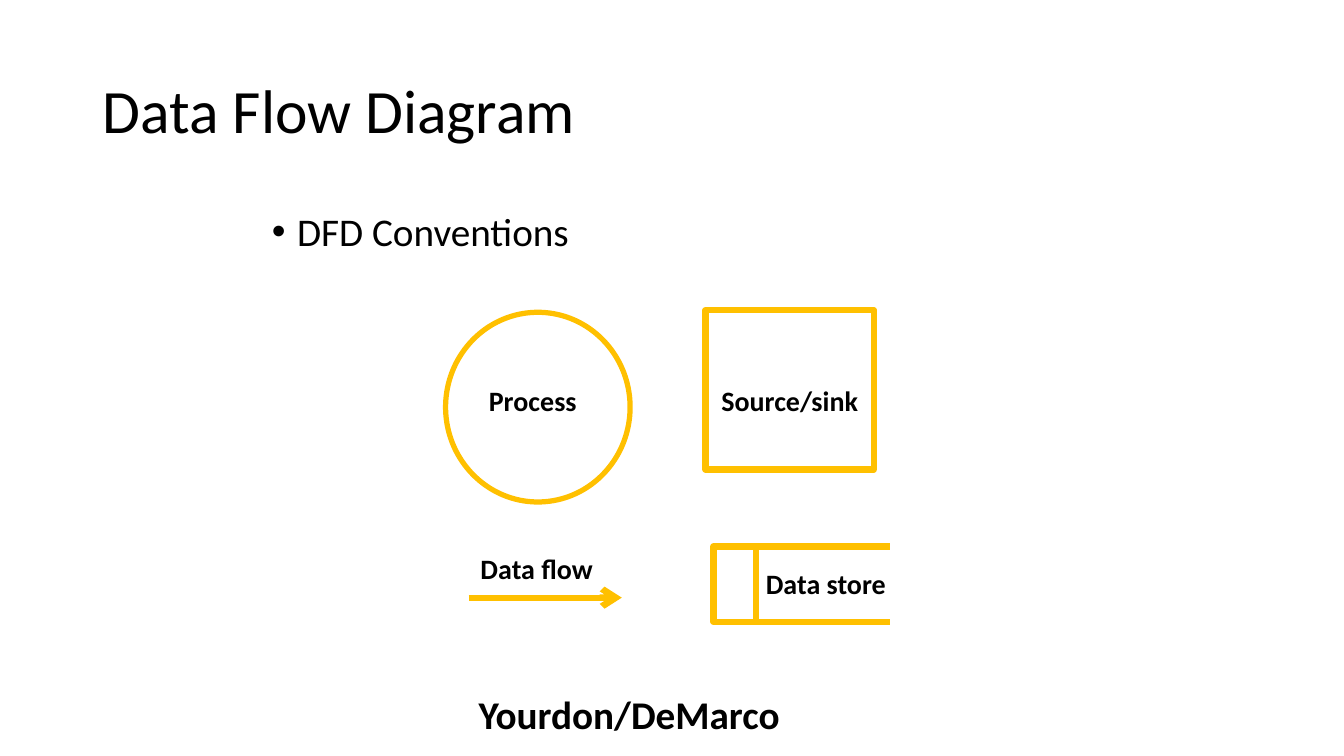
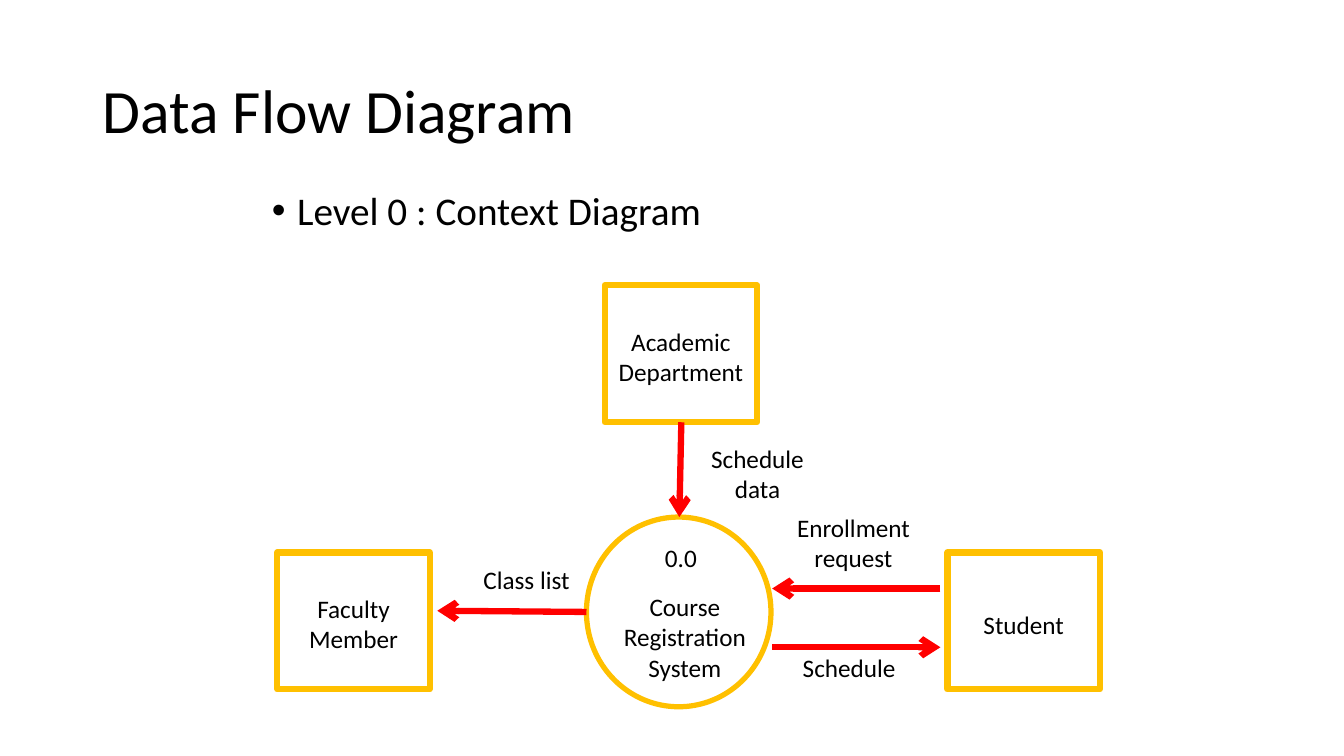
from lxml.etree import SubElement
from pptx import Presentation
from pptx.dml.color import RGBColor
from pptx.enum.shapes import MSO_CONNECTOR, MSO_SHAPE
from pptx.enum.text import MSO_ANCHOR, PP_ALIGN
from pptx.oxml.ns import qn
from pptx.util import Cm, Pt

BLACK = RGBColor(0x00, 0x00, 0x00)
AMBER = RGBColor(0xFF, 0xC0, 0x00)
RED = RGBColor(0xFF, 0x00, 0x00)
FONT = "Calibri"
TITLE = "Data Flow Diagram"
LEFT = PP_ALIGN.LEFT
CENTER = PP_ALIGN.CENTER
CIRCLE_SIZE = (4.65, 4.78)
ENTITY_SIZE = (3.84, 3.45)


def add_text(slide, box, lines, size, bold=False, align=LEFT, spacing=1.0, bullet=False):
    shape = slide.shapes.add_textbox(*map(Cm, box))
    frame = shape.text_frame
    frame.word_wrap = True
    for index, line in enumerate(lines):
        paragraph = frame.paragraphs[0] if index == 0 else frame.add_paragraph()
        paragraph.alignment = align
        paragraph.line_spacing = spacing
        if bullet:
            properties = paragraph._p.get_or_add_pPr()
            properties.set("marL", str(Cm(0.64)))
            properties.set("indent", str(-Cm(0.64)))
            SubElement(properties, qn("a:buFont"), typeface="Arial")
            SubElement(properties, qn("a:buChar"), char="•")
        run = paragraph.add_run()
        run.text = line
        run.font.name = FONT
        run.font.size = Pt(size)
        run.font.bold = bold
        run.font.color.rgb = BLACK
    return shape


def add_line(slide, start, end, color, arrow=True):
    connector = slide.shapes.add_connector(
        MSO_CONNECTOR.STRAIGHT, *map(Cm, start), *map(Cm, end)
    )
    connector.line.color.rgb = color
    connector.line.width = Pt(4.5)
    if arrow:
        SubElement(connector.line._get_or_add_ln(), qn("a:tailEnd"), type="arrow")
    SubElement(connector._element.spPr, qn("a:effectLst"))


presentation = Presentation()
presentation.slide_width = Cm(33.87)
presentation.slide_height = Cm(19.05)

store_left, store_right, store_top, store_bottom = 17.98, 22.43, 13.77, 15.67
entities = [
    (15.24, 7.19, 0.91, ["Academic Department"]),
    (6.99, 13.92, 0.91, ["Faculty", "Member"]),
    (23.88, 13.92, 1.32, ["Student"]),
]
convention_shapes = [
    (MSO_SHAPE.OVAL, (11.23, 7.87, *CIRCLE_SIZE), 3.75),
    (MSO_SHAPE.RECTANGLE, (17.78, 7.82, 4.24, 4.01), 4.5),
    (MSO_SHAPE.RECTANGLE, (store_left, store_top, 1.07, store_bottom - store_top), 4.5),
]
context_shapes = [(MSO_SHAPE.OVAL, (14.78, 13.03, *CIRCLE_SIZE), 3.75)] + [
    (MSO_SHAPE.RECTANGLE, (left, top, *ENTITY_SIZE), 4.5)
    for left, top, offset, lines in entities
]

slides = []
for heading, heading_top, outlines in [
    ("DFD Conventions", 5.23, convention_shapes),
    ("Level 0 : Context Diagram", 4.7, context_shapes),
]:
    slide = presentation.slides.add_slide(presentation.slide_layouts[6])
    slides.append(slide)
    title = add_text(slide, (2.34, 1.02, 29.21, 3.68), [TITLE], 44, spacing=0.9)
    title.text_frame.vertical_anchor = MSO_ANCHOR.MIDDLE
    add_text(slide, (6.6, heading_top, 20.62, 1.5), [heading], 28, spacing=0.9, bullet=True)
    for kind, box, width in outlines:
        shape = slide.shapes.add_shape(kind, *map(Cm, box))
        shape.shadow.inherit = False
        shape.fill.background()
        shape.line.color.rgb = AMBER
        shape.line.width = Pt(width)

conventions, context = slides

add_line(conventions, (11.81, 15.06), (15.67, 15.06), AMBER)
for edge in (store_top, store_bottom):
    add_line(conventions, (store_left, edge), (store_right, edge), AMBER, arrow=False)
for left, top, width, label in [
    (12.07, 9.53, 3.81, "Process"),
    (17.93, 9.53, 5.08, "Source/sink"),
    (11.86, 13.77, 3.81, "Data flow"),
    (19.05, 14.15, 3.81, "Data store"),
]:
    add_text(conventions, (left, top, width, 1.12), [label], 20, bold=True)
add_text(conventions, (11.81, 17.27, 10.36, 1.45), ["Yourdon/DeMarco"], 28, bold=True)

for start, end in [
    ((17.17, 10.64), (17.12, 13.03)),
    ((23.7, 14.83), (19.46, 14.83)),
    ((14.78, 15.42), (11.02, 15.39)),
    ((19.46, 16.31), (23.7, 16.31)),
]:
    add_line(context, start, end, RED)
for left, top, offset, lines in entities:
    add_text(context, (left, top + offset, ENTITY_SIZE[0], 1.8), lines, 18, align=CENTER)
for box, lines in [
    ((15.24, 13.54, 3.84, 1.02), ["0.0"]),
    ((14.86, 14.78, 4.8, 2.57), ["Course", "Registration", "System"]),
    ((17.17, 11.05, 3.84, 1.8), ["Schedule data"]),
    ((19.63, 12.78, 3.76, 1.8), ["Enrollment", "request"]),
    ((19.48, 16.31, 3.84, 1.02), ["Schedule"]),
    ((11.35, 14.1, 3.84, 1.02), ["Class list"]),
]:
    add_text(context, box, lines, 18, align=CENTER)

presentation.save("out.pptx")
